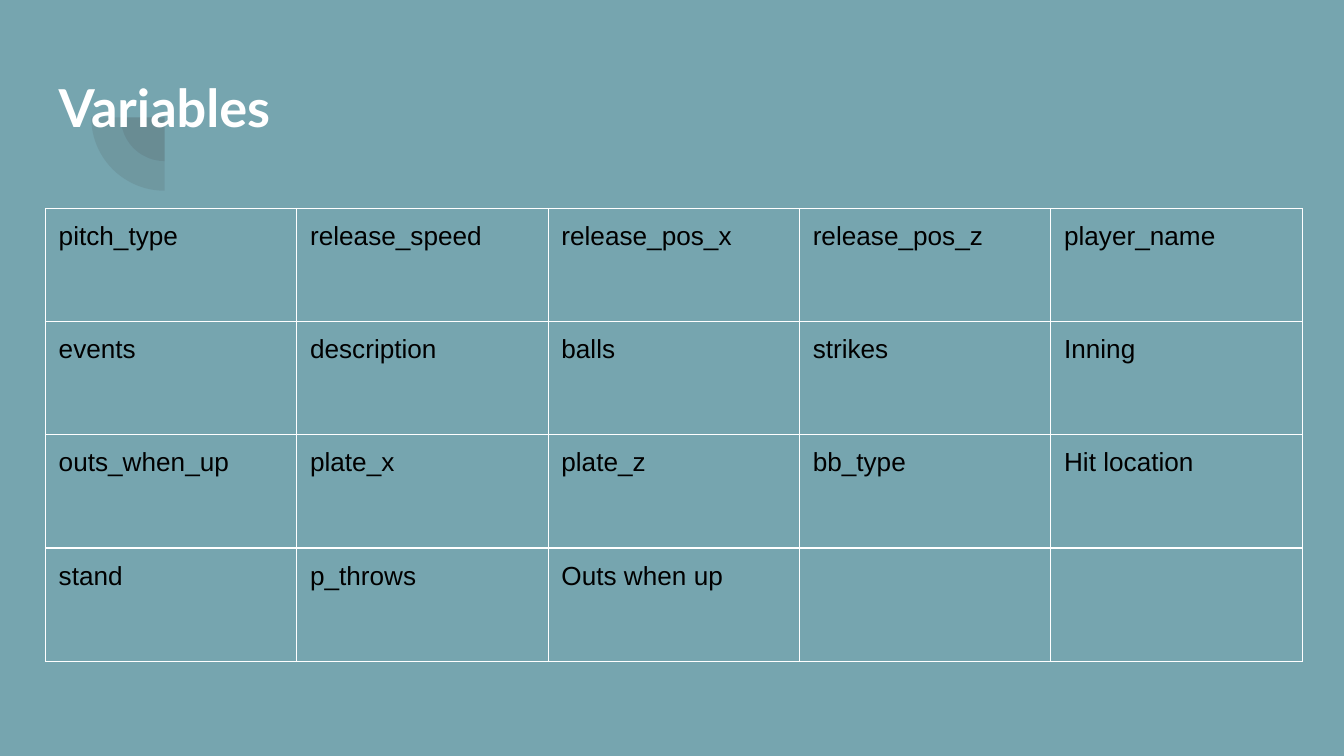
from lxml import etree
from pptx import Presentation
from pptx.dml.color import RGBColor
from pptx.enum import shapes, text
from pptx.oxml import ns
from pptx.util import Cm, Pt

# Content
TITLE = "Variables"
VARIABLES = [
    ["pitch_type", "release_speed", "release_pos_x", "release_pos_z", "player_name"],
    ["events", "description", "balls", "strikes", "Inning"],
    ["outs_when_up", "plate_x", "plate_z", "bb_type", "Hit location"],
    ["stand", "p_throws", "Outs when up", "", ""],
]

TEAL = RGBColor(0x76, 0xA5, 0xAF)
WHITE = RGBColor(0xFF, 0xFF, 0xFF)
BLACK = RGBColor(0, 0, 0)
GREY = RGBColor(0x42, 0x42, 0x42)

# Layout
LEFT = Cm(0.86)
INSET = Cm(0.25)
COLUMN_WIDTH, ROW_HEIGHT = Cm(4.75), Cm(2.14)
PIE_CENTER = Cm(3.11), Cm(2.22)
PIE_DIAMETERS = [Cm(1.65), Cm(2.77)]


def add_run(paragraph, words, font_name, size, color, bold=False):
    run = paragraph.add_run()
    run.text = words
    run.font.name = font_name
    run.font.size = Pt(size)
    run.font.bold = bold
    run.font.color.rgb = color


def set_insets(part):
    part.margin_left = part.margin_right = INSET
    part.margin_top = part.margin_bottom = INSET


def add_borders(cell, color, width):
    properties = cell._tc.get_or_add_tcPr()
    for side in ("a:lnL", "a:lnR", "a:lnT", "a:lnB"):
        line = etree.SubElement(properties, ns.qn(side), w=str(Pt(width)))
        fill = etree.SubElement(line, ns.qn("a:solidFill"))
        etree.SubElement(fill, ns.qn("a:srgbClr"), val=str(color))


def add_quarter(slide, diameter):
    x, y = (center - diameter // 2 for center in PIE_CENTER)
    quarter = slide.shapes.add_shape(shapes.MSO_SHAPE.PIE, x, y, diameter, diameter)
    quarter.rotation = 270
    quarter.adjustments[0], quarter.adjustments[1] = 108, 162
    quarter.shadow.inherit = False
    quarter.line.fill.background()
    quarter.fill.solid()
    quarter.fill.fore_color.rgb = GREY
    color = quarter.element.spPr.find(ns.qn("a:solidFill"))[0]
    etree.SubElement(color, ns.qn("a:alpha"), val="13000")
    return quarter


def main():
    prs = Presentation()
    prs.slide_width, prs.slide_height = Cm(25.4), Cm(14.29)
    slide = prs.slides.add_slide(prs.slide_layouts[5])
    slide.background.fill.solid()
    slide.background.fill.fore_color.rgb = TEAL

    # Quarter circles behind the title
    for diameter in PIE_DIAMETERS:
        quarter = add_quarter(slide, diameter)

    # Title
    title = slide.shapes.title
    quarter.element.addnext(title.element)
    title.left, title.top, title.width, title.height = LEFT, Cm(1.17), Cm(19.53), Cm(2.77)
    frame = title.text_frame
    set_insets(frame)
    frame.word_wrap = True
    frame.auto_size = text.MSO_AUTO_SIZE.NONE
    frame.vertical_anchor = text.MSO_ANCHOR.TOP
    heading = frame.paragraphs[0]
    heading.alignment = text.PP_ALIGN.LEFT
    add_run(heading, TITLE, "Lato", 28, WHITE, bold=True)

    # Table of variables
    row_count, column_count = len(VARIABLES), len(VARIABLES[0])
    variables = slide.shapes.add_table(
        row_count, column_count, LEFT, Cm(3.94),
        COLUMN_WIDTH * column_count, ROW_HEIGHT * row_count).table
    variables.first_row = variables.horz_banding = False
    for column in variables.columns:
        column.width = COLUMN_WIDTH
    for row, names in zip(variables.rows, VARIABLES):
        row.height = ROW_HEIGHT
        for cell, name in zip(row.cells, names):
            set_insets(cell)
            add_borders(cell, WHITE, 0.75)
            cell.fill.background()
            if name:
                add_run(cell.text_frame.paragraphs[0], name, "Arial", 14, BLACK)

    prs.save("out.pptx")


if __name__ == "__main__":
    main()
